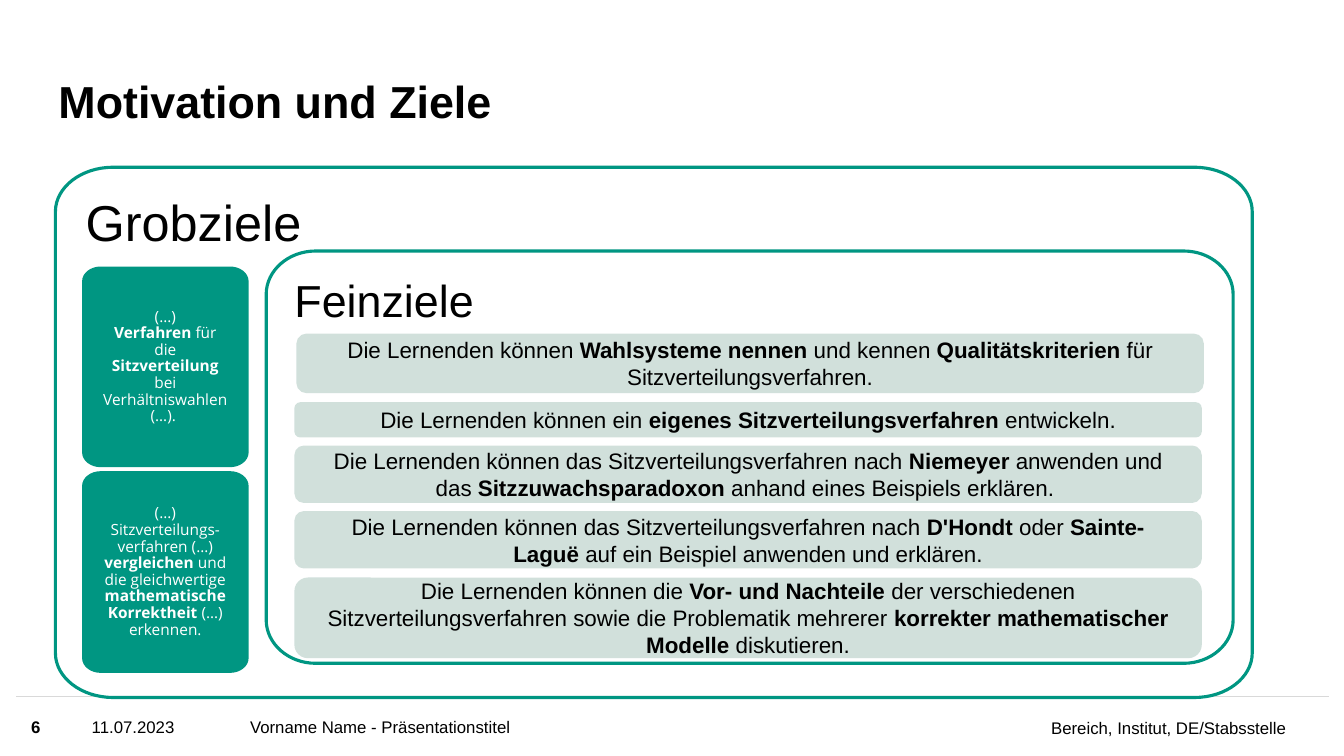
from dataclasses import dataclass

from lxml import etree
from pptx import Presentation
from pptx.dml.color import RGBColor
from pptx.enum.shapes import MSO_CONNECTOR, MSO_SHAPE
from pptx.enum.text import MSO_ANCHOR, MSO_AUTO_SIZE, PP_ALIGN
from pptx.oxml.ns import qn
from pptx.util import Inches, Pt

LEFT, CENTER, RIGHT = PP_ALIGN.LEFT, PP_ALIGN.CENTER, PP_ALIGN.RIGHT
TOP, MIDDLE, BOTTOM = MSO_ANCHOR.TOP, MSO_ANCHOR.MIDDLE, MSO_ANCHOR.BOTTOM
NO_FIT = MSO_AUTO_SIZE.NONE
ROUNDED = MSO_SHAPE.ROUNDED_RECTANGLE
STRAIGHT = MSO_CONNECTOR.STRAIGHT
TITLE_ONLY = 5
CURVE = 0.55
GREEN, PALE, WHITE, BLACK, GREY = "009682", "CCDDD8", "FFFFFF", "000000", "D9D9D9"


@dataclass
class Panel:
    box: tuple[float, float, float, float]
    corner: tuple[float, float]
    fill: str
    text: str
    fmt: dict


@dataclass
class Goal:
    left: float
    top: float
    height: float
    text: str


@dataclass
class Footer:
    box: tuple[float, float, float, float]
    text: str
    align: PP_ALIGN = LEFT


def heading(size: int, bottom: float, side: float) -> dict:
    return {"size": size, "spacing": 0.9, "insets": (side, side, side, bottom)}


CARD = {"size": 11, "font": "Open Sans", "color": WHITE, "align": CENTER,
        "anchor": MIDDLE, "spacing": 0.9, "insets": (0.19,) * 4}

PANELS = [
    Panel((0.55, 1.66, 11.87, 5.26), (0.57, 0.44), WHITE, "Grobziele",
          heading(36, 4.22, 0.3)),
    Panel((0.83, 2.66, 1.62, 1.96), (0.17, 0.13), GREEN,
          "(…)\n**Verfahren** für die **Sitzverteilung** bei Verhältniswahlen\n(…). ",
          CARD),
    Panel((0.83, 4.69, 1.62, 1.97), (0.17, 0.13), GREEN,
          "(…)\nSitzverteilungs-verfahren (…) **vergleichen** und die gleichwertige "
          "**mathematische Korrektheit **(…) erkennen.", CARD),
    Panel((2.64, 2.49, 9.59, 4.09), (0.49, 0.43), WHITE, "Feinziele",
          heading(32, 2.45, 0.28)),
]

GOALS = [
    Goal(2.94, 3.31, 0.59,
         "Die Lernenden können **Wahlsysteme nennen **und kennen "
         "**Qualitätskriterien** für Sitzverteilungsverfahren."),
    Goal(2.92, 3.99, 0.35,
         "Die Lernenden können ein **eigenes Sitzverteilungsverfahren **entwickeln."),
    Goal(2.92, 4.42, 0.57,
         "Die Lernenden können das Sitzverteilungsverfahren nach **Niemeyer** anwenden "
         "und das **Sitzzuwachsparadoxon** anhand eines Beispiels erklären. "),
    Goal(2.92, 5.07, 0.57,
         "Die Lernenden können das Sitzverteilungsverfahren nach **D'Hondt **oder "
         "**Sainte-Laguë **auf ein Beispiel anwenden und erklären."),
    Goal(2.92, 5.73, 0.8,
         "Die Lernenden können die **Vor- und Nachteile **der verschiedenen "
         "Sitzverteilungsverfahren sowie die Problematik mehrerer "
         "**korrekter mathematischer Modelle **diskutieren."),
]

FOOTERS = [
    Footer((2.48, 6.92, 5.37, 0.58), "Vorname Name - Präsentationstitel"),
    Footer((8.03, 6.92, 4.73, 0.59), "Bereich, Institut, DE/Stabsstelle", RIGHT),
    Footer((0.91, 6.92, 1.5, 0.58), "11.07.2023"),
    Footer((0.31, 6.92, 0.48, 0.58), "**6**"),
]


def rgb(color: str) -> RGBColor:
    return RGBColor.from_string(color)


def write(sp, text: str, *, size: int, font: str = "Arial", color: str = BLACK,
          align: PP_ALIGN = LEFT, anchor: MSO_ANCHOR = TOP, spacing: float = 1.0,
          insets: tuple = (0, 0, 0, 0)) -> None:
    tf = sp.text_frame
    tf.word_wrap = True
    tf.auto_size = NO_FIT
    tf.vertical_anchor = anchor
    tf.margin_left, tf.margin_top, tf.margin_right, tf.margin_bottom = map(Inches, insets)
    p = tf.paragraphs[0]
    p.alignment = align
    p.line_spacing = spacing
    for i, part in enumerate(text.split("**")):
        for j, piece in enumerate(part.split("\n")):
            if j:
                p.add_line_break()
            if piece:
                r = p.add_run()
                r.text = piece
                r.font.name = font
                r.font.size = Pt(size)
                r.font.bold = i % 2 == 1
                r.font.color.rgb = rgb(color)
    p.font.size = Pt(size)


def round_corner(segment, start: tuple, corner: tuple, end: tuple) -> None:
    segment.tag = qn("a:cubicBezTo")
    for child in list(segment):
        segment.remove(child)
    handles = [tuple(a + CURVE * (c - a) for a, c in zip(point, corner))
               for point in (start, end)]
    for x, y in (*handles, end):
        etree.SubElement(segment, qn("a:pt"), x=str(int(x)), y=str(int(y)))


def add_panel(s, panel: Panel) -> None:
    x, y, w, h = map(Inches, panel.box)
    rx, ry = map(Inches, panel.corner)
    points = [(0, ry), (rx, 0), (w - rx, 0), (w, ry),
              (w, h - ry), (w - rx, h), (rx, h), (0, h - ry)]
    corners = [(0, 0), (w, 0), (w, h), (0, h)]
    builder = s.shapes.build_freeform(*points[0])
    builder.add_line_segments(points[1:], close=True)
    sp = builder.convert_to_shape(x, y)
    segments = list(sp._element.iter(qn("a:lnTo")))
    for i, corner in enumerate(corners):
        round_corner(segments[2 * i], points[2 * i], corner, points[2 * i + 1])
    sp.shadow.inherit = False
    sp.fill.solid()
    sp.fill.fore_color.rgb = rgb(panel.fill)
    sp.line.color.rgb = rgb(GREEN)
    sp.line.width = Pt(2.25)
    write(sp, panel.text, **panel.fmt)


def add_goal(s, goal: Goal) -> None:
    box = (goal.left, goal.top, 9, goal.height)
    sp = s.shapes.add_shape(ROUNDED, *map(Inches, box))
    sp.shadow.inherit = False
    sp.fill.solid()
    sp.fill.fore_color.rgb = rgb(PALE)
    color = sp.fill._xPr.find(qn("a:solidFill"))[0]
    etree.SubElement(color, qn("a:alpha"), val="90000")
    sp.line.fill.background()
    write(sp, goal.text, size=16, align=CENTER, anchor=MIDDLE,
          insets=(0.27, 0.14, 0.27, 0.14))


def add_footer(s, footer: Footer) -> None:
    sp = s.shapes.add_textbox(*map(Inches, footer.box))
    write(sp, footer.text, size=12, align=footer.align, anchor=MIDDLE)


def add_rule(s) -> None:
    line = s.shapes.add_connector(STRAIGHT, Inches(0.16), Inches(6.91),
                                  Inches(13.18), Inches(6.91))
    line.line.color.rgb = rgb(GREY)
    line.line.width = Pt(1)
    etree.SubElement(line._element.spPr, qn("a:effectLst"))


def main() -> None:
    prs = Presentation()
    prs.slide_width, prs.slide_height = Inches(13.33), Inches(7.5)
    s = prs.slides.add_slide(prs.slide_layouts[TITLE_ONLY])
    title = s.shapes.title
    title.left, title.top, title.width, title.height = map(Inches, (0.58, 0.43, 10.02, 0.84))
    write(title, "**Motivation und Ziele**", size=32, anchor=BOTTOM, spacing=0.9)
    add_rule(s)
    for footer in FOOTERS:
        add_footer(s, footer)
    for panel in PANELS:
        add_panel(s, panel)
    for goal in GOALS:
        add_goal(s, goal)
    prs.save("out.pptx")


if __name__ == "__main__":
    main()
